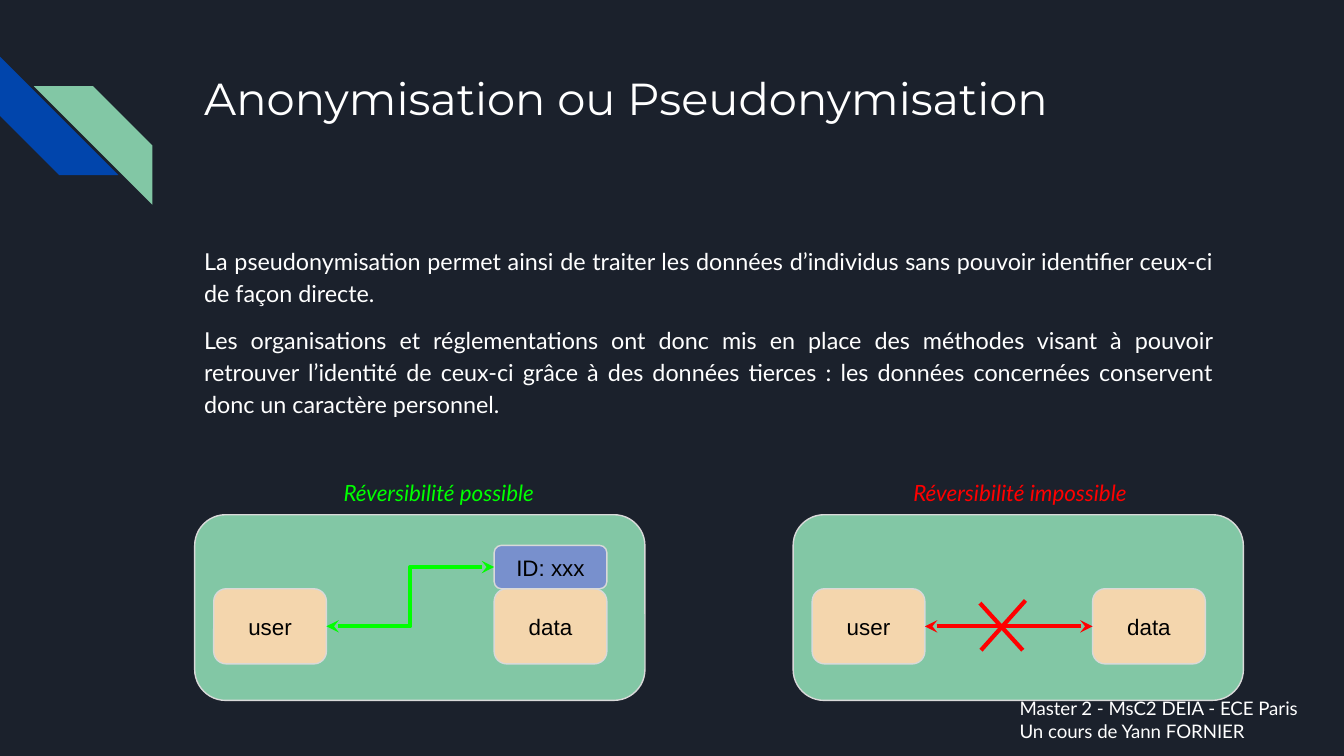
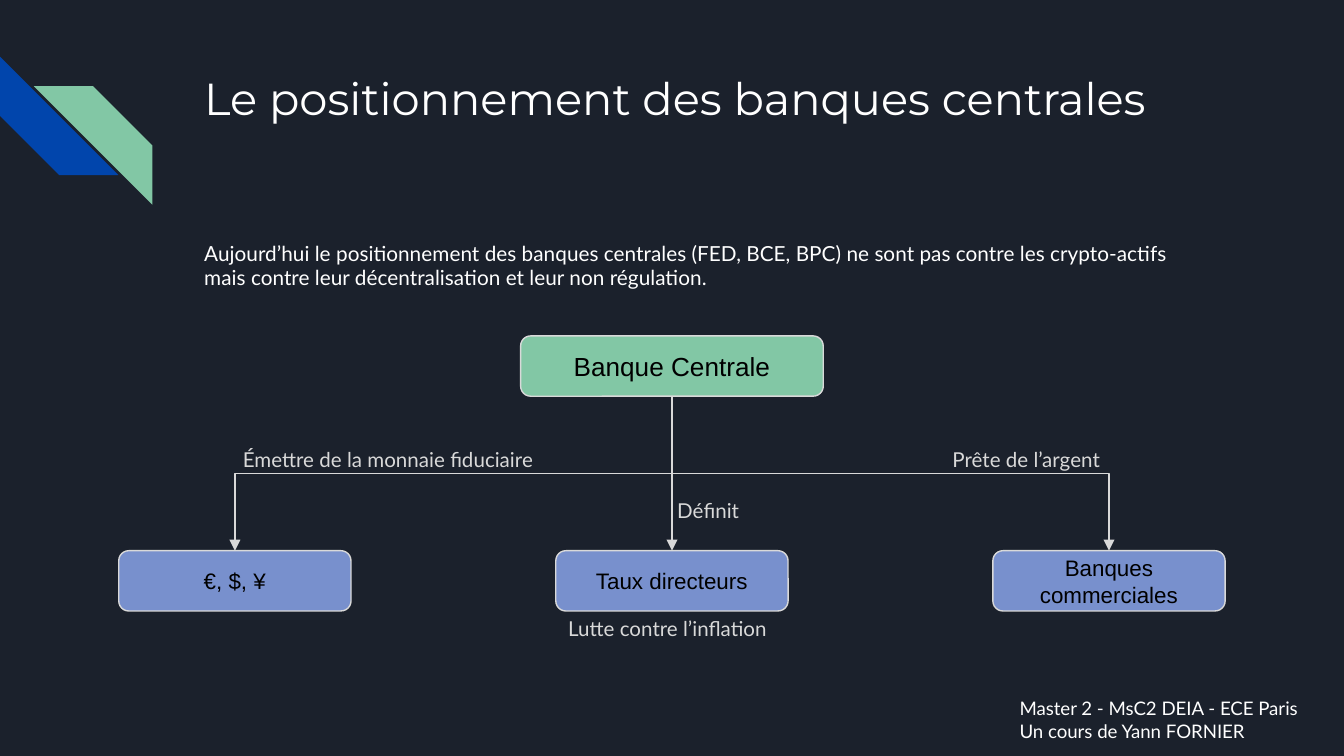
from lxml import etree
from pptx import Presentation
from pptx import util as u
from pptx.dml.color import RGBColor
from pptx.enum import shapes, text
from pptx.oxml.ns import qn

# Palette and fonts
NIGHT, BLUE, GREEN = "1B212C", "0145AC", "82C7A5"
SAND, PERIWINKLE, GREY = "F4D6AD", "7890CD", "D9D9D9"
WHITE, BLACK, LIME, RED = "FFFFFF", "000000", "00FF00", "FF0000"
HEADING, BODY, DIAGRAM = "Montserrat", "Lato", "Arial"
LEFT, CENTER, JUSTIFY = (text.PP_ALIGN.LEFT, text.PP_ALIGN.CENTER,
                         text.PP_ALIGN.JUSTIFY)

# Shared content, all lengths in cm
PAGE_W, PAGE_H = 25.4, 14.29
TITLE_AREA = (3.61, 1.09, 19.56, 2.54)
FOOTER_AREA = (19.02, 12.93, 6.38, 1.37)
FOOTER = ["Master 2 - MsC2 DEIA - ECE Paris", "Un cours de Yann FORNIER"]
STRIPES = [(0, 1.07, 270, BLUE), (0.64, 1.63, 90, GREEN)]
STRIPE_SIZE = 2.24

# Slide 1 content
PSEUDO_TITLE = "Anonymisation ou Pseudonymisation"
PSEUDO_AREA = (3.61, 4.34, 19.56, 4.01)
PSEUDO_TEXT = [
    "La pseudonymisation permet ainsi de traiter les données d’individus "
    "sans pouvoir identifier ceux-ci de façon directe.",
    "Les organisations et réglementations ont donc mis en place des méthodes "
    "visant à pouvoir retrouver l’identité de ceux-ci grâce à des données "
    "tierces : les données concernées conservent donc un caractère personnel.",
]
PANELS = [  # panel left, caption, caption left, caption width, colour, ID tag
    (3.68, "Réversibilité possible", 6.15, 4.29, LIME, "ID: xxx"),
    (14.99, "Réversibilité impossible", 16.92, 4.72, RED, None),
]
PANEL_TOP, PANEL_W, PANEL_H = 9.73, 8.51, 3.51
CAPTION_TOP, CAPTION_H = 8.81, 1.02
USER_DX, DATA_DX = 0.36, 5.66
NODE_TOP, NODE_W, NODE_H, TAG_H = 11.13, 2.13, 1.42, 0.82
CROSS = [((18.52, 11.4), (19.33, 12.29)), ((19.38, 11.35), (18.54, 12.29))]

# Slide 2 content
BANKS_TITLE = "Le positionnement des banques centrales"
BANKS_AREA = (3.61, 4.34, 19.56, 1.83)
BANKS_TEXT = [
    "Aujourd’hui le positionnement des banques centrales (FED, BCE, BPC) ne "
    "sont pas contre les crypto-actifs mais contre leur décentralisation et "
    "leur non régulation.",
]
ROOT = "Banque Centrale"
BRANCHES = ["€, $, ¥", "Taux directeurs", "Banques commerciales"]
ROOT_TOP, ROOT_W, BANK_H = 6.35, 5.72, 1.14
BRANCH_TOP, BRANCH_W, BRANCH_STEP = 10.41, 4.39, 8.26
ROLES = [  # text, left, top, width
    ("Émettre de la monnaie fiduciaire", 4.34, 8.2, 6.17),
    ("Prête de l’argent", 17.75, 8.2, 3.43),
    ("Définit", 12.55, 9.17, 3.43),
    ("Lutte contre l’inflation", 10.49, 11.4, 4.39),
]
ROLE_H = 0.99


def rgb(colour):
    return RGBColor.from_string(colour)


def cm(values):
    return [u.Cm(value) for value in values]


def write(box, lines, size, font, colour, align=LEFT, italic=False,
          anchor=text.MSO_ANCHOR.TOP, spacing=None, before=0, after=0):
    frame = box.text_frame
    frame.word_wrap = True
    frame.auto_size = text.MSO_AUTO_SIZE.NONE
    frame.vertical_anchor = anchor
    frame.margin_left = frame.margin_right = u.Cm(0.25)
    frame.margin_top = frame.margin_bottom = u.Cm(0.25)
    for number, line in enumerate(lines):
        para = frame.add_paragraph() if number else frame.paragraphs[0]
        para.alignment = align
        para.space_before = u.Pt(before if number else 0)
        para.space_after = u.Pt(after)
        if spacing:
            para.line_spacing = spacing
        span = para.add_run()
        span.text = line
        span.font.size, span.font.name = u.Pt(size), font
        span.font.italic = italic
        span.font.color.rgb = rgb(colour)


def add_text(page, area, lines, size, colour, **style):
    write(page.shapes.add_textbox(*cm(area)), lines, size, BODY, colour, **style)


def add_box(page, area, fill, label=None, size=12):
    box = page.shapes.add_shape(shapes.MSO_SHAPE.ROUNDED_RECTANGLE, *cm(area))
    box.shadow.inherit = False
    box.fill.solid()
    box.fill.fore_color.rgb = rgb(fill)
    box.line.color.rgb = rgb(GREY)
    box.line.width = u.Pt(0.75)
    if label:
        write(box, [label], size, DIAGRAM, BLACK, CENTER,
              anchor=text.MSO_ANCHOR.MIDDLE)


def add_line(page, start, end, colour, width, bent=False, head=None, tail=None):
    kind = shapes.MSO_CONNECTOR.ELBOW if bent else shapes.MSO_CONNECTOR.STRAIGHT
    line = page.shapes.add_connector(kind, *cm(start + end))
    line.line.color.rgb = rgb(colour)
    line.line.width = u.Pt(width)
    props = line._element.spPr
    for tag, arrow in (("a:headEnd", head), ("a:tailEnd", tail)):
        if arrow:
            etree.SubElement(props.find(qn("a:ln")), qn(tag), type=arrow)
    etree.SubElement(props, qn("a:effectLst"))
    return line


def prepare_layout(layout):
    layout.background.fill.solid()
    layout.background.fill.fore_color.rgb = rgb(NIGHT)
    for holder in list(layout.placeholders):
        if holder.placeholder_format.idx:
            holder._element.getparent().remove(holder._element)


def add_stripes(page):
    """Draw the corner stripes and hand them to the shared layout."""
    for left, top, angle, colour in STRIPES:
        stripe = page.shapes.add_shape(
            shapes.MSO_SHAPE.DIAGONAL_STRIPE,
            *cm((left, top, STRIPE_SIZE, STRIPE_SIZE)))
        stripe.rotation = angle
        stripe.shadow.inherit = False
        stripe.fill.solid()
        stripe.fill.fore_color.rgb = rgb(colour)
        stripe.line.fill.background()
        page.slide_layout.shapes._spTree.append(stripe._element)


def add_page(deck, layout, title):
    page = deck.slides.add_slide(layout)
    holder = page.shapes.title
    holder.left, holder.top, holder.width, holder.height = cm(TITLE_AREA)
    write(holder, [title], 24, HEADING, WHITE)
    return page


def add_footer(page):
    add_text(page, FOOTER_AREA, FOOTER, 10, WHITE)


def fill_pseudonymisation(page):
    add_text(page, PSEUDO_AREA, PSEUDO_TEXT, 12.5, WHITE, align=JUSTIFY,
             spacing=1.15, before=8)
    middle = NODE_TOP + NODE_H / 2
    for left, caption, caption_left, caption_w, colour, tag in PANELS:
        user, data = left + USER_DX, left + DATA_DX
        add_box(page, (left, PANEL_TOP, PANEL_W, PANEL_H), GREEN)
        add_box(page, (user, NODE_TOP, NODE_W, NODE_H), SAND, "user")
        add_box(page, (data, NODE_TOP, NODE_W, NODE_H), SAND, "data")
        target = middle
        if tag:
            add_box(page, (data, NODE_TOP - TAG_H, NODE_W, TAG_H),
                    PERIWINKLE, tag)
            target = NODE_TOP - TAG_H / 2
        add_line(page, (user + NODE_W, middle), (data, target), colour, 2.25,
                 bent=True, head="stealth", tail="stealth")
        add_text(page, (caption_left, CAPTION_TOP, caption_w, CAPTION_H),
                 [caption], 12, colour, align=CENTER, italic=True)
    for start, end in CROSS:
        add_line(page, start, end, RED, 2.25)


def fill_central_banks(page):
    add_text(page, BANKS_AREA, BANKS_TEXT, 11.1, WHITE, spacing=0.95, after=12)
    axis = PAGE_W / 2
    add_box(page, (axis - ROOT_W / 2, ROOT_TOP, ROOT_W, BANK_H), GREEN, ROOT, 14)
    root_bottom = ROOT_TOP + BANK_H
    drop = BRANCH_TOP - root_bottom
    for side, label in zip((-1, 0, 1), BRANCHES):
        center = axis + side * BRANCH_STEP
        add_box(page, (center - BRANCH_W / 2, BRANCH_TOP, BRANCH_W, BANK_H),
                PERIWINKLE, label)
        if not side:
            add_line(page, (axis, root_bottom), (axis, BRANCH_TOP), GREY, 0.75,
                     tail="triangle")
            continue
        # An elbow leaves sideways, so it is laid flat and turned a quarter
        mid_x, mid_y = (axis + center) / 2, root_bottom + drop / 2
        dx, dy = side * drop / 2, BRANCH_STEP / 2
        elbow = add_line(page, (mid_x + dx, mid_y - dy), (mid_x - dx, mid_y + dy),
                         GREY, 0.75, bent=True, tail="triangle")
        turn = 90 if side < 0 else 270
        elbow._element.spPr.find(qn("a:xfrm")).set("rot", str(turn * 60000))
    for role, left, top, width in ROLES:
        add_text(page, (left, top, width, ROLE_H), [role], 11, GREY)


def main():
    deck = Presentation()
    deck.slide_width, deck.slide_height = cm((PAGE_W, PAGE_H))
    layout = deck.slide_layouts[5]
    prepare_layout(layout)
    pages = [(PSEUDO_TITLE, fill_pseudonymisation),
             (BANKS_TITLE, fill_central_banks)]
    for number, (title, fill_page) in enumerate(pages):
        page = add_page(deck, layout, title)
        if number == 0:
            add_stripes(page)
        fill_page(page)
        add_footer(page)
    deck.save("out.pptx")


if __name__ == "__main__":
    main()
